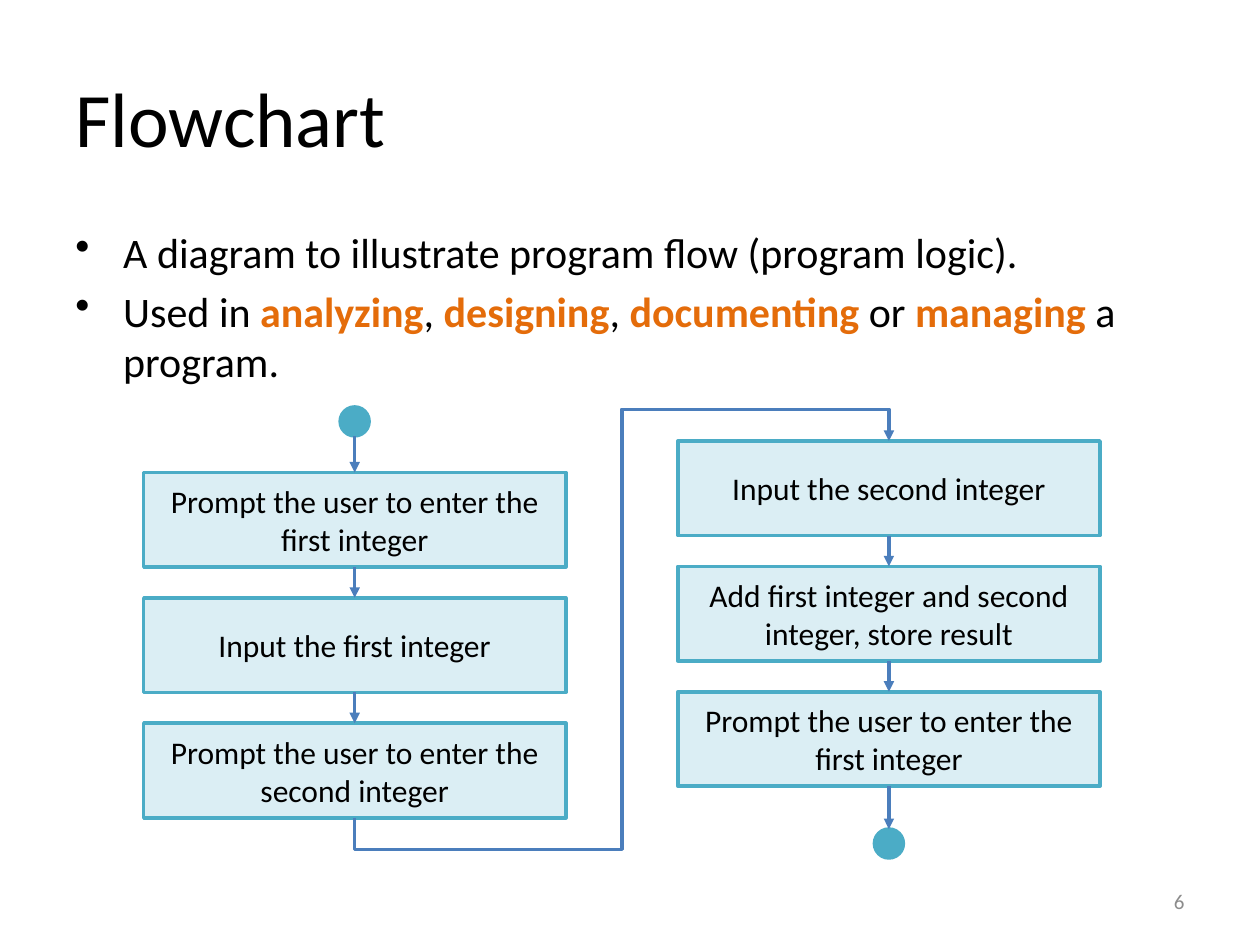
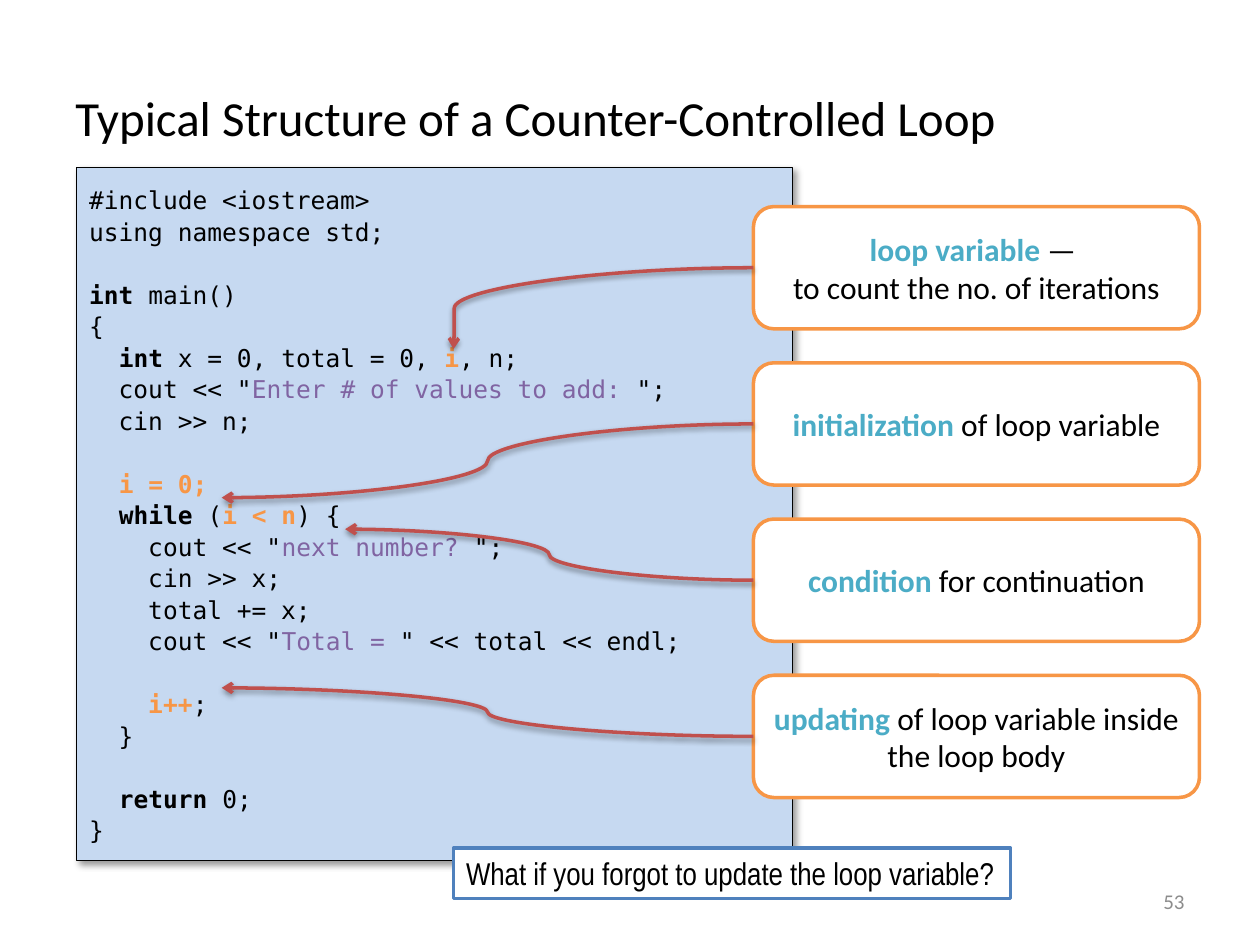
from dataclasses import dataclass, field
from typing import Any, NamedTuple

from lxml import etree
from pptx import Presentation
from pptx import util as u
from pptx.dml import color
from pptx.enum import shapes, text
from pptx.oxml import ns

BLACK = color.RGBColor(0x00, 0x00, 0x00)
WHITE = color.RGBColor(0xFF, 0xFF, 0xFF)
GREY = color.RGBColor(0x8C, 0x8C, 0x8C)
DARK_ORANGE = color.RGBColor(0xE4, 0x6C, 0x0A)
ORANGE = color.RGBColor(0xF7, 0x96, 0x46)
TEAL = color.RGBColor(0x4B, 0xAC, 0xC6)
PALE_TEAL = color.RGBColor(0xDB, 0xEE, 0xF4)
PALE_BLUE = color.RGBColor(0xC6, 0xD9, 0xF1)
BLUE = color.RGBColor(0x4F, 0x81, 0xBD)
FLOW_BLUE = color.RGBColor(0x4B, 0x7E, 0xBC)
RED = color.RGBColor(0xC0, 0x50, 0x4D)
PURPLE = color.RGBColor(0x80, 0x64, 0xA2)

BODY_FONT = "Calibri"
CODE_FONT = "DejaVu Sans Mono"
NOTE_FONT = "Arial Narrow"
LEFT, CENTER, RIGHT = text.PP_ALIGN.LEFT, text.PP_ALIGN.CENTER, text.PP_ALIGN.RIGHT
TOP, MIDDLE = text.MSO_ANCHOR.TOP, text.MSO_ANCHOR.MIDDLE
PRESET = shapes.MSO_SHAPE
CONNECTOR = shapes.MSO_CONNECTOR


class Run(NamedTuple):
    text: str
    rgb: color.RGBColor = BLACK
    bold: bool = False


class Box(NamedTuple):
    left: float
    top: float
    width: float
    height: float

    def lengths(self) -> list[int]:
        return [u.Inches(v) for v in self]


class Shadow(NamedTuple):
    alpha: int
    blur: float
    distance: float
    angle: int


@dataclass
class TextStyle:
    size: float
    name: str = BODY_FONT
    rgb: color.RGBColor = BLACK
    anchor: Any = MIDDLE
    paragraph: dict[str, Any] = field(default_factory=lambda: {"alignment": LEFT})


@dataclass
class ShapeStyle:
    preset: Any
    fill: color.RGBColor
    line: color.RGBColor
    width: float = 2
    shadow: Shadow | None = None


class Pointer(NamedTuple):
    runs: list[list[Run]]
    tip: tuple[float, float]
    bend: int = 50000


CENTERED = {"alignment": CENTER}
NUMBER = TextStyle(12, rgb=GREY, paragraph={"alignment": RIGHT})
BULLETS = TextStyle(24, anchor=TOP)
LABEL = TextStyle(18, paragraph=CENTERED)
CODE = TextStyle(14, CODE_FONT, paragraph={"alignment": LEFT, "line_spacing": u.Pt(18)})
NOTE = TextStyle(18, NOTE_FONT, anchor=TOP)

STEP = ShapeStyle(PRESET.FLOWCHART_PROCESS, PALE_TEAL, TEAL)
TERMINAL = ShapeStyle(PRESET.FLOWCHART_CONNECTOR, TEAL, TEAL)
LISTING = ShapeStyle(PRESET.RECTANGLE, PALE_BLUE, BLACK, 0.75, Shadow(40, 4, 3, 45))
CALLOUT = ShapeStyle(PRESET.ROUNDED_RECTANGLE, WHITE, ORANGE)
QUESTION = ShapeStyle(PRESET.RECTANGLE, WHITE, BLUE)
CURVE_SHADOW = Shadow(38, 3.1, 1.6, 90)

STEP_W, STEP_H, STEP_SPAN = 3.35, 0.75, 1.99
DOT = 0.23
LEFT_STEPS = ["Prompt the user to enter the first integer", "Input the first integer",
              "Prompt the user to enter the second integer"]
RIGHT_STEPS = ["Input the second integer", "Add first integer and second integer, store result",
               "Prompt the user to enter the first integer"]


def key(s: str) -> Run:
    return Run(s, bold=True)


def hot(s: str) -> Run:
    return Run(s, ORANGE, True)


def quoted(s: str) -> Run:
    return Run(s, PURPLE)


def term(s: str) -> Run:
    return Run(s, TEAL, True)


def emphasis(s: str) -> Run:
    return Run(s, DARK_ORANGE, True)


CODE_LINES = [
    [Run("#include <iostream>")],
    [Run("using namespace std;")],
    [],
    [key("int"), Run(" main()")],
    [Run("{")],
    [Run("  "), key("int"), Run(" x = 0, total = 0, "), hot("i"), Run(", n;")],
    [Run('  cout << "'), quoted("Enter # of values to add: "), Run('";')],
    [Run("  cin >> n;")],
    [],
    [Run("  "), hot("i = 0;")],
    [Run("  "), key("while"), Run(" ("), hot("i < n"), Run(") {")],
    [Run('    cout << "'), quoted("next number?"), Run(' ";')],
    [Run("    cin >> x;")],
    [Run("    total += x;")],
    [Run('    cout << "'), quoted("Total = "), Run('" << total << endl;')],
    [],
    [hot("    i++"), Run(";")],
    [Run("  }")],
    [],
    [Run("  "), key("return"), Run(" 0;")],
    [Run("}")],
]

POINTERS = [
    Pointer([[term("loop variable "), Run("— ")], [Run("to count the no. of iterations")]],
            (3.6, 2.77), 99800),
    Pointer([[term("initialization "), Run("of loop variable")]], (1.76, 3.95)),
    Pointer([[term("condition "), Run("for continuation")]], (2.74, 4.2)),
    Pointer([[term("updating "), Run("of loop variable inside the loop body")]], (1.76, 5.46)),
]


def set_values(obj: Any, values: dict[str, Any]) -> None:
    for name, value in values.items():
        setattr(obj, name, value)


def add_child(parent: Any, tag: str, **attrs: Any) -> Any:
    return etree.SubElement(parent, ns.qn(tag), {k: str(v) for k, v in attrs.items()})


def add_shadow(effects: Any, shadow: Shadow) -> None:
    outer = add_child(effects, "a:outerShdw", blurRad=u.Pt(shadow.blur), dist=u.Pt(shadow.distance),
                      dir=shadow.angle * 60000, algn="tl", rotWithShape=0)
    rgb = add_child(outer, "a:srgbClr", val=BLACK)
    add_child(rgb, "a:alpha", val=shadow.alpha * 1000)


def write(tf: Any, lines: list[list[Run]], style: TextStyle, bullets: bool = False) -> None:
    set_values(tf, {"word_wrap": True, "vertical_anchor": style.anchor})
    p, gap = None, 0
    for line in lines:
        if not line:
            gap += style.paragraph["line_spacing"]
            continue
        first = p is None
        p = tf.paragraphs[0] if first else tf.add_paragraph()
        set_values(p, style.paragraph)
        if bullets:
            pPr = p._p.get_or_add_pPr()
            pPr.set("marL", str(u.Inches(0.38)))
            pPr.set("indent", str(-u.Inches(0.38)))
            add_child(pPr, "a:buChar", char="•")
            gap = 0 if first else u.Pt(style.size * 0.2)
        if gap:
            p.space_before = gap
        gap = 0
        for run in line:
            r = p.add_run()
            r.text = run.text
            set_values(r.font, {"size": u.Pt(style.size), "name": style.name, "bold": run.bold})
            r.font.color.rgb = style.rgb if run.rgb == BLACK else run.rgb


def add_text(s: Any, box: Box, lines: list[list[Run]], style: TextStyle, bullets: bool = False) -> None:
    write(s.shapes.add_textbox(*box.lengths()).text_frame, lines, style, bullets)


def add_box(s: Any, box: Box, look: ShapeStyle, lines: list[list[Run]] | None = None,
            style: TextStyle = LABEL) -> Any:
    sp = s.shapes.add_shape(look.preset, *box.lengths())
    sp.shadow.inherit = False
    sp.fill.solid()
    sp.fill.fore_color.rgb = look.fill
    sp.line.color.rgb = look.line
    sp.line.width = u.Pt(look.width)
    if look.shadow:
        add_shadow(sp.element.spPr.find(ns.qn("a:effectLst")), look.shadow)
    if lines:
        write(sp.text_frame, lines, style)
    return sp


def add_arrow(s: Any, kind: Any, start: tuple[float, float], end: tuple[float, float],
              rgb: color.RGBColor, head: str = "triangle", shadow: Shadow | None = None) -> Any:
    cx = s.shapes.add_connector(kind, *(u.Inches(v) for v in (*start, *end)))
    cx.line.color.rgb = rgb
    cx.line.width = u.Pt(2)
    spPr = cx.element.spPr
    add_child(spPr.find(ns.qn("a:ln")), "a:tailEnd", type=head)
    effects = add_child(spPr, "a:effectLst")
    if shadow:
        add_shadow(effects, shadow)
    return cx


def set_bends(cx: Any, bends: dict[str, int]) -> None:
    guides = cx.element.spPr.find(ns.qn("a:prstGeom")).get_or_add_avLst()
    for name, value in bends.items():
        add_child(guides, "a:gd", name=name, fmla=f"val {value}")


def add_page(prs: Any, title: str, size: float, number: int) -> Any:
    s = prs.slides.add_slide(prs.slide_layouts[6])
    add_text(s, Box(0.5, 0.3, 9, 1.25), [[Run(title)]], TextStyle(size))
    add_text(s, Box(7.17, 6.95, 2.33, 0.4), [[Run(str(number))]], NUMBER)
    return s


def add_steps(s: Any, left: float, top: float, labels: list[str]) -> list[Any]:
    pitch = STEP_SPAN / (len(labels) - 1)
    steps = [add_box(s, Box(left, top + i * pitch, STEP_W, STEP_H), STEP, [[Run(label)]])
             for i, label in enumerate(labels)]
    for upper, lower in zip(steps, steps[1:]):
        cx = add_arrow(s, CONNECTOR.STRAIGHT, (0, 0), (0, 0), FLOW_BLUE)
        cx.begin_connect(upper, 2)
        cx.end_connect(lower, 0)
    return steps


def add_column_link(s: Any, start: tuple[float, float], end: tuple[float, float]) -> None:
    mid_x, mid_y = (start[0] + end[0]) / 2, (start[1] + end[1]) / 2
    half_w, half_h = (start[1] - end[1]) / 2, (end[0] - start[0]) / 2
    cx = add_arrow(s, CONNECTOR.ELBOW, (mid_x + half_w, mid_y + half_h),
                   (mid_x - half_w, mid_y - half_h), FLOW_BLUE)
    spPr = cx.element.spPr
    spPr.find(ns.qn("a:xfrm")).set("rot", str(90 * 60000))
    spPr.find(ns.qn("a:prstGeom")).set("prst", "bentConnector5")
    set_bends(cx, {"adj1": -8400, "adj2": 50000, "adj3": 108400})


def build_flowchart(prs: Any) -> None:
    s = add_page(prs, "Flowchart", 44, 6)
    add_text(s, Box(0.5, 1.75, 9, 4.95), [
        [Run("A diagram to illustrate program flow (program logic).")],
        [Run("Used in "), emphasis("analyzing"), Run(", "), emphasis("designing"), Run(", "),
         emphasis("documenting "), Run("or "), emphasis("managing "), Run("a program.")],
    ], BULLETS, bullets=True)
    left, right = 1.14, 5.38
    left_mid, right_mid = left + STEP_W / 2, right + STEP_W / 2
    left_top, right_top, start_top, stop_top = 3.75, 3.5, 3.23, 6.58
    add_box(s, Box(left_mid - DOT / 2, start_top, DOT, DOT), TERMINAL)
    stop = add_box(s, Box(right_mid - DOT / 2, stop_top, DOT, DOT), TERMINAL)
    left_steps = add_steps(s, left, left_top, LEFT_STEPS)
    right_steps = add_steps(s, right, right_top, RIGHT_STEPS)
    entry = add_arrow(s, CONNECTOR.STRAIGHT, (left_mid, start_top + DOT), (left_mid, left_top), FLOW_BLUE)
    entry.end_connect(left_steps[0], 0)
    leave = add_arrow(s, CONNECTOR.STRAIGHT, (0, 0), (0, 0), FLOW_BLUE)
    leave.begin_connect(right_steps[-1], 2)
    leave.end_connect(stop, 0)
    add_column_link(s, (left_mid, left_top + STEP_SPAN + STEP_H), (right_mid, right_top))


def build_loop(prs: Any) -> None:
    s = add_page(prs, "Typical Structure of a Counter-Controlled Loop", 28, 53)
    add_box(s, Box(0.61, 1.33, 5.68, 5.5), LISTING, CODE_LINES, CODE)
    boxes = [Box(5.98, 1.64 + i * 1.24, 3.54, 0.97) for i in range(len(POINTERS))]
    for box, pointer in zip(boxes, POINTERS):
        add_box(s, box, CALLOUT, pointer.runs)
    for box, pointer in zip(boxes, POINTERS):
        cx = add_arrow(s, CONNECTOR.CURVE, (box.left, box.top + box.height / 2), pointer.tip,
                       RED, "arrow", CURVE_SHADOW)
        set_bends(cx, {"adj1": pointer.bend})
    add_box(s, Box(3.6, 6.73, 4.42, 0.4), QUESTION,
            [[Run("What if you forgot to update the loop variable?")]], NOTE)


def main() -> None:
    prs = Presentation()
    set_values(prs, {"slide_width": u.Inches(10), "slide_height": u.Inches(7.5)})
    build_flowchart(prs)
    build_loop(prs)
    prs.save("out.pptx")


if __name__ == "__main__":
    main()
